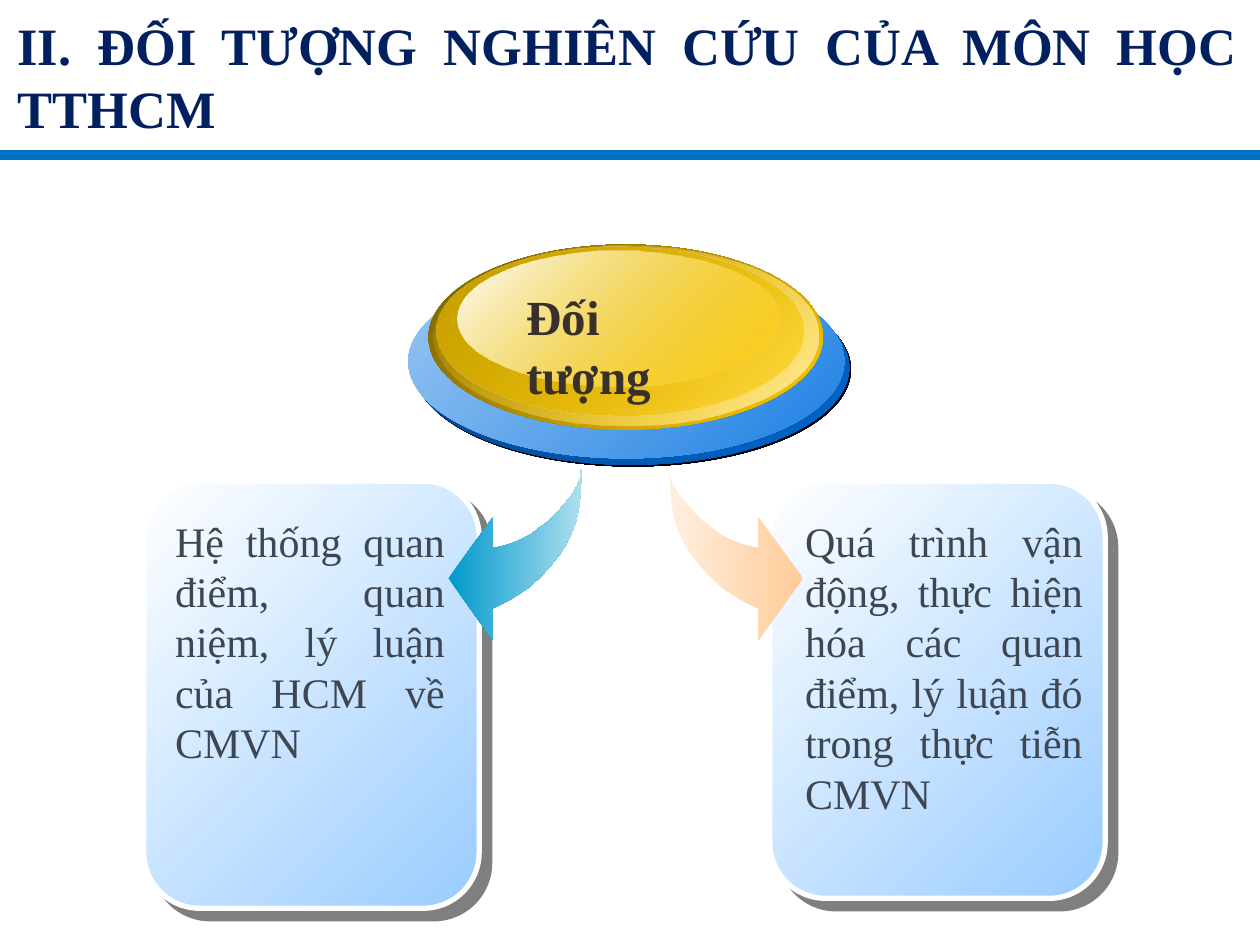
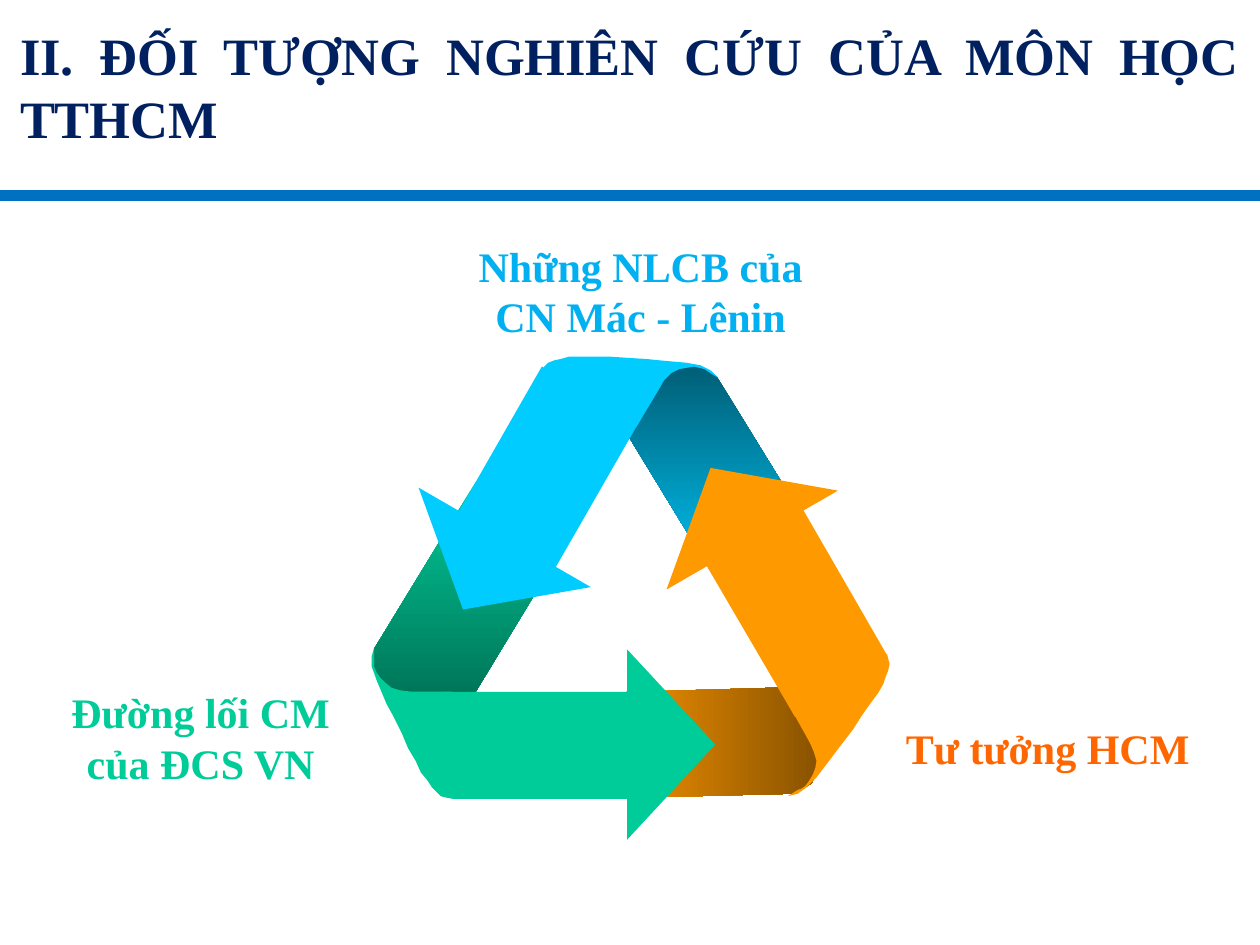
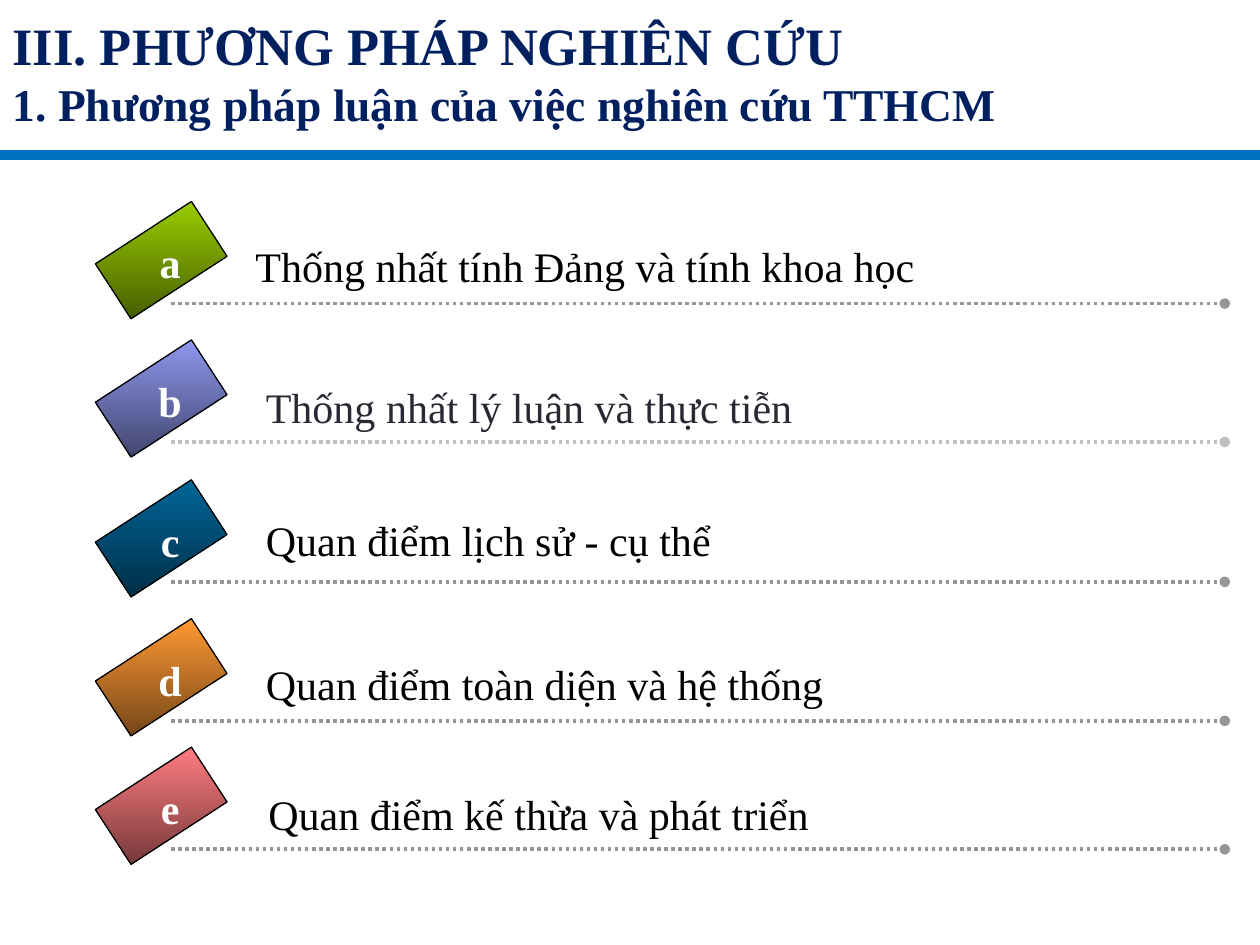
from dataclasses import dataclass

from lxml import etree
from pptx import Presentation
from pptx.dml.color import RGBColor
from pptx.enum.dml import MSO_LINE
from pptx.enum.shapes import MSO_CONNECTOR, MSO_SHAPE
from pptx.enum.text import MSO_ANCHOR, MSO_AUTO_SIZE, PP_ALIGN
from pptx.oxml.ns import qn
from pptx.util import Cm, Pt

STRAIGHT = MSO_CONNECTOR.STRAIGHT
ROUND_DOT = MSO_LINE.ROUND_DOT
ELLIPSE = MSO_SHAPE.OVAL
RECTANGLE = MSO_SHAPE.RECTANGLE
ROUNDED = MSO_SHAPE.ROUNDED_RECTANGLE
TRIANGLE = MSO_SHAPE.ISOSCELES_TRIANGLE
TOP = MSO_ANCHOR.TOP
GROW = MSO_AUTO_SIZE.SHAPE_TO_FIT_TEXT
LEFT, CENTER, JUSTIFY = PP_ALIGN.LEFT, PP_ALIGN.CENTER, PP_ALIGN.JUSTIFY

FONT = "Times New Roman"
TITLE_ONLY = 5
GRID = Cm(0.0254)  # unit of the outline points
ARROW_AXIS = 993  # sum of the x values of two mirrored points

COLOURS = {
    "title": "002060", "rule": "0070C0", "white": "FFFFFF", "black": "000000",
    "card": "99CCFF", "card text": "3E4652", "topic": "39302B",
    "left arrow": "0099CC", "left arrow light": "AEDFEF",
    "right arrow": "FFCC99", "right arrow light": "FFEFDF",
    "rim dark": "004182", "rim": "0066CC", "base light": "9BC7F3", "base": "1D80E3",
    "gold": "FFCC00", "gold dark": "765E00", "gold pale": "FFEDA6", "gold deep": "CAA200",
    "cyan": "00CCFF", "cyan dark": "005E76", "sky": "00B0F0",
    "orange": "FF9900", "orange dark": "764700", "orange text": "FF6600",
    "green": "00CC99", "green dark": "005E47",
    "dots": "969696", "light dots": "C0C0C0", "soft black": "292934",
    "lime": "99CC00", "lime dark": "475E00", "violet": "8E97EE", "violet dark": "42466E",
    "navy": "006699", "navy dark": "002F47", "amber": "FF9933", "amber dark": "764718",
    "rose": "FF7C80", "rose dark": "76393B",
}

Points = list[tuple[int, int]]


@dataclass(frozen=True)
class Box:
    """Position and size in centimetres."""
    left: float
    top: float
    width: float
    height: float

    def lengths(self) -> tuple[Cm, Cm, Cm, Cm]:
        return Cm(self.left), Cm(self.top), Cm(self.width), Cm(self.height)


@dataclass(frozen=True)
class Gradient:
    """Two colours with their opacity in percent, and a clockwise angle."""
    start: str
    end: str
    angle: int = 45
    start_opacity: int = 100
    end_opacity: int = 100


@dataclass(frozen=True)
class TextStyle:
    size: int
    colour: str
    bold: bool = False
    align: PP_ALIGN = LEFT


@dataclass(frozen=True)
class Card:
    box: Box
    text_box: Box
    text: str


@dataclass(frozen=True)
class CycleArrow:
    colour: str
    shade: Gradient
    band: Points
    head: Box
    rotation: int
    body: Points
    fold: Points


@dataclass(frozen=True)
class MethodRow:
    letter: str
    top: float
    text: str
    text_box: Box
    tag: str
    line: str = "dots"
    text_colour: str = "black"


def rgb(name: str) -> RGBColor:
    return RGBColor.from_string(COLOURS[name])


def paint(shape, fill: str | Gradient, line: str | None = None, width: float = 0):
    """Sets fill and outline and takes the theme shadow away."""
    shape.shadow.inherit = False
    if isinstance(fill, Gradient):
        shape.fill.gradient()
        shape.fill.gradient_angle = -fill.angle % 360
        stops = shape.fill.gradient_stops
        stops[0].color.rgb, stops[1].color.rgb = rgb(fill.start), rgb(fill.end)
        colours = shape.element.spPr.find(qn("a:gradFill")).iter(qn("a:srgbClr"))
        for colour, opacity in zip(colours, (fill.start_opacity, fill.end_opacity)):
            if opacity < 100:
                etree.SubElement(colour, qn("a:alpha"), val=str(opacity * 1000))
    else:
        shape.fill.solid()
        shape.fill.fore_color.rgb = rgb(fill)
    if line:
        shape.line.color.rgb = rgb(line)
        shape.line.width = Pt(width)
    else:
        shape.line.fill.background()
    return shape


def add_preset(slide, kind, box: Box, fill: str | Gradient, line: str | None = None,
               width: float = 0, rotation: int = 0):
    shape = slide.shapes.add_shape(kind, *box.lengths())
    shape.rotation = rotation
    return paint(shape, fill, line, width)


def add_outline(slide, points: Points, fill: str | Gradient) -> None:
    builder = slide.shapes.build_freeform(*points[0], scale=GRID)
    builder.add_line_segments(points[1:], close=True)
    paint(builder.convert_to_shape(), fill)


def add_hard_shadow(shape, distance: float, opacity: int) -> None:
    effects = shape.element.spPr.find(qn("a:effectLst"))
    shadow = etree.SubElement(effects, qn("a:outerShdw"), blurRad="0", dist=str(Pt(distance)),
                              dir="2700000", algn="ctr", rotWithShape="0")
    colour = etree.SubElement(shadow, qn("a:srgbClr"), val=COLOURS["black"])
    etree.SubElement(colour, qn("a:alpha"), val=str(opacity * 1000))


def add_line(slide, left: float, right: float, top: float, colour: str, width: float):
    line = slide.shapes.add_connector(STRAIGHT, Cm(left), Cm(top), Cm(right), Cm(top))
    line.line.color.rgb = rgb(colour)
    line.line.width = Pt(width)
    etree.SubElement(line.element.spPr, qn("a:effectLst"))
    return line


def write(text_frame, text: str, style: TextStyle, wrap: bool = True) -> None:
    text_frame.text = text
    text_frame.word_wrap = wrap
    text_frame.auto_size = GROW
    text_frame.vertical_anchor = TOP
    for paragraph in text_frame.paragraphs:
        paragraph.alignment = style.align
        for run in paragraph.runs:
            run.font.name = FONT
            run.font.size = Pt(style.size)
            run.font.bold = style.bold
            run.font.color.rgb = rgb(style.colour)


def add_text(slide, box: Box, text: str, style: TextStyle, wrap: bool = True) -> None:
    write(slide.shapes.add_textbox(*box.lengths()).text_frame, text, style, wrap)


def add_titled_slide(presentation, title: str, box: Box, rule_top: float, align=JUSTIFY):
    slide = presentation.slides.add_slide(presentation.slide_layouts[TITLE_ONLY])
    placeholder = slide.shapes.title
    placeholder.left, placeholder.top, placeholder.width, placeholder.height = box.lengths()
    write(placeholder.text_frame, title, TextStyle(30, "title", True, align))
    add_line(slide, 0, 25.4, rule_top, "rule", 6)
    return slide


SUBJECT_TITLE = "II. ĐỐI TƯỢNG NGHIÊN CỨU CỦA MÔN HỌC TTHCM"
METHOD_TITLE = "III. PHƯƠNG PHÁP NGHIÊN CỨU\n1. Phương pháp luận của việc nghiên cứu TTHCM"

CARDS = [
    Card(Box(15.52, 9.7, 6.76, 8.41), Box(15.98, 10.26, 6.1, 6.35),
         "Quá trình vận động, thực hiện hóa các quan điểm, lý luận đó trong thực tiễn CMVN"),
    Card(Box(2.9, 9.7, 6.76, 8.61), Box(3.28, 10.26, 5.94, 5.33),
         "Hệ thống quan điểm, quan niệm, lý luận của HCM về CMVN"),
]

CURVED_ARROW = [
    (462, 372), (461, 387), (460, 401), (457, 415), (452, 427), (446, 438), (438, 448),
    (429, 458), (419, 467), (405, 476), (391, 483), (391, 508), (356, 459), (391, 411),
    (391, 435), (397, 434), (404, 432), (412, 429), (420, 425), (428, 419), (435, 414),
    (442, 407), (448, 400), (454, 393), (458, 386), (461, 379), (461, 372),
]

BUTTON_RIM = Box(8.33, 5.46, 8.79, 3.91)
BUTTON_LAYERS = [
    (Box(8.23, 5.33, 8.79, 3.91), Gradient("base light", "base")),
    (Box(8.64, 4.93, 7.95, 3.73), Gradient("gold dark", "gold")),
    (Box(8.74, 4.95, 7.75, 3.63), Gradient("gold", "gold pale", start_opacity=0)),
    (Box(8.81, 4.98, 7.39, 3.4), Gradient("gold deep", "gold", end_opacity=48)),
    (Box(9.22, 5.05, 6.5, 2.74), Gradient("white", "gold", end_opacity=38)),
]

CYCLE = [
    CycleArrow(
        "cyan", Gradient("cyan dark", "cyan", 90),
        band=[(578, 476), (470, 299), (555, 290), (569, 299), (653, 436)],
        head=Box(7.75, 10.72, 4.01, 1.68), rotation=210,
        body=[(428, 473), (510, 330), (471, 308), (430, 291), (351, 429)],
        fold=[(505, 339), (429, 295), (432, 291), (435, 288), (440, 286), (445, 285),
              (452, 283), (461, 283), (471, 283), (483, 283), (497, 284), (513, 285),
              (523, 286), (545, 288), (556, 290), (564, 294), (570, 300), (565, 297),
              (562, 295), (559, 293), (555, 292), (551, 291), (545, 292), (539, 293),
              (533, 296), (527, 302), (523, 309)]),
    CycleArrow(
        "orange", Gradient("orange", "orange dark", 0),
        band=[(471, 550), (679, 544), (644, 622), (629, 630), (469, 634)],
        head=Box(12.75, 9.32, 3.99, 1.68), rotation=330,
        body=[(548, 427), (631, 569), (670, 546), (704, 520), (625, 383)],
        fold=[(628, 563), (704, 519), (705, 523), (706, 527), (705, 532), (703, 537),
              (701, 543), (697, 550), (691, 558), (684, 568), (677, 579), (667, 592),
              (661, 600), (648, 617), (640, 625), (633, 630), (625, 632), (630, 629),
              (633, 627), (636, 626), (639, 624), (642, 620), (645, 615), (647, 610),
              (648, 604), (646, 597), (643, 590)]),
    CycleArrow(
        "green", Gradient("green", "green dark", 90),
        band=[(454, 423), (349, 596), (296, 530), (297, 515), (378, 382)],
        head=Box(11.61, 14.12, 3.84, 1.78), rotation=90,
        body=[(527, 549), (352, 549), (353, 592), (359, 634), (527, 634)],
        fold=[(359, 549), (359, 634), (354, 633), (350, 632), (347, 629), (343, 625),
              (339, 619), (334, 613), (330, 604), (324, 594), (319, 582), (312, 568),
              (307, 559), (299, 540), (295, 529), (295, 521), (297, 514), (297, 519),
              (297, 523), (297, 526), (297, 529), (299, 534), (302, 538), (306, 542),
              (311, 546), (318, 548), (327, 549)]),
]

CYCLE_LABELS = [
    (Box(8.94, 4.72, 7.95, 2.29), "Những NLCB của CN Mác - Lênin", "sky"),
    (Box(17.5, 14.45, 7.24, 1.27), "Tư tưởng HCM", "orange text"),
    (Box(0.69, 13.72, 6.71, 2.29), "Đường lối CM của ĐCS VN", "green"),
]

METHODS = [
    MethodRow("a", 4.09, "Thống nhất tính Đảng và tính khoa học",
              Box(4.9, 4.72, 20.02, 1.27), "lime"),
    MethodRow("b", 6.88, "Thống nhất lý luận và thực tiễn",
              Box(5.11, 7.57, 19.13, 1.27), "violet", "light dots", "soft black"),
    MethodRow("c", 9.7, "Quan điểm lịch sử - cụ thể", Box(5.11, 10.24, 19.61, 1.27), "navy"),
    MethodRow("d", 12.5, "Quan điểm toàn diện và hệ thống",
              Box(5.11, 13.16, 12.6, 1.27), "amber"),
    MethodRow("e", 15.09, "Quan điểm kế thừa và phát triển",
              Box(5.16, 15.77, 11.4, 1.27), "rose"),
]


def build_subject_slide(presentation) -> None:
    slide = add_titled_slide(presentation, SUBJECT_TITLE, Box(0.1, 0.13, 25.1, 2.79), 3.12)
    for card in CARDS:
        shape = add_preset(slide, ROUNDED, card.box, Gradient("white", "card"), "white", 3)
        add_hard_shadow(shape, 8.5, 50)
        add_text(slide, card.text_box, card.text, TextStyle(24, "card text", align=JUSTIFY))
    mirrored = [(ARROW_AXIS - x, y) for x, y in CURVED_ARROW]
    add_outline(slide, CURVED_ARROW, Gradient("left arrow", "left arrow light", 0))
    add_outline(slide, mirrored, Gradient("right arrow light", "right arrow", 0))
    rim = add_preset(slide, ELLIPSE, BUTTON_RIM, Gradient("rim dark", "rim"))
    add_hard_shadow(rim, 1.4, 100)
    for box, gradient in BUTTON_LAYERS:
        add_preset(slide, ELLIPSE, box, gradient)
    add_text(slide, Box(10.36, 5.66, 4.72, 1.45), "Đối tượng",
             TextStyle(28, "topic", True), wrap=False)


def build_cycle_slide(presentation) -> None:
    slide = add_titled_slide(presentation, SUBJECT_TITLE, Box(0.15, 0.33, 25.1, 2.79), 3.94)
    for arrow in CYCLE:
        add_outline(slide, arrow.band, arrow.shade)
    for arrow in CYCLE:
        add_preset(slide, TRIANGLE, arrow.head, arrow.colour, rotation=arrow.rotation)
        add_outline(slide, arrow.body, arrow.colour)
        add_outline(slide, arrow.fold, arrow.colour)
    for box, text, colour in CYCLE_LABELS:
        add_text(slide, box, text, TextStyle(24, colour, True, CENTER))


def build_method_slide(presentation) -> None:
    slide = add_titled_slide(presentation, METHOD_TITLE, Box(0, 0.13, 25.1, 2.64), 3.12, LEFT)
    slide.shapes.title.text_frame.paragraphs[1].runs[0].font.size = Pt(26)
    for row in METHODS:
        dots = add_line(slide, 3.45, 24.69, row.top + 2.03, row.line, 2)
        dots.line.dash_style = ROUND_DOT
        etree.SubElement(dots.element.spPr.find(qn("a:ln")), qn("a:tailEnd"), type="oval")
        add_preset(slide, RECTANGLE, Box(2.59, row.top, 1.32, 2.31),
                   Gradient(row.tag, f"{row.tag} dark", 33), "black", 0.75, rotation=57)
        add_text(slide, row.text_box, row.text, TextStyle(24, row.text_colour))
        add_text(slide, Box(2.92, row.top + 0.56, 1.02, 1.27), row.letter,
                 TextStyle(24, "white", True, CENTER))


def main() -> None:
    presentation = Presentation()
    presentation.slide_width, presentation.slide_height = Cm(25.4), Cm(19.05)
    build_subject_slide(presentation)
    build_cycle_slide(presentation)
    build_method_slide(presentation)
    presentation.save("out.pptx")


if __name__ == "__main__":
    main()
